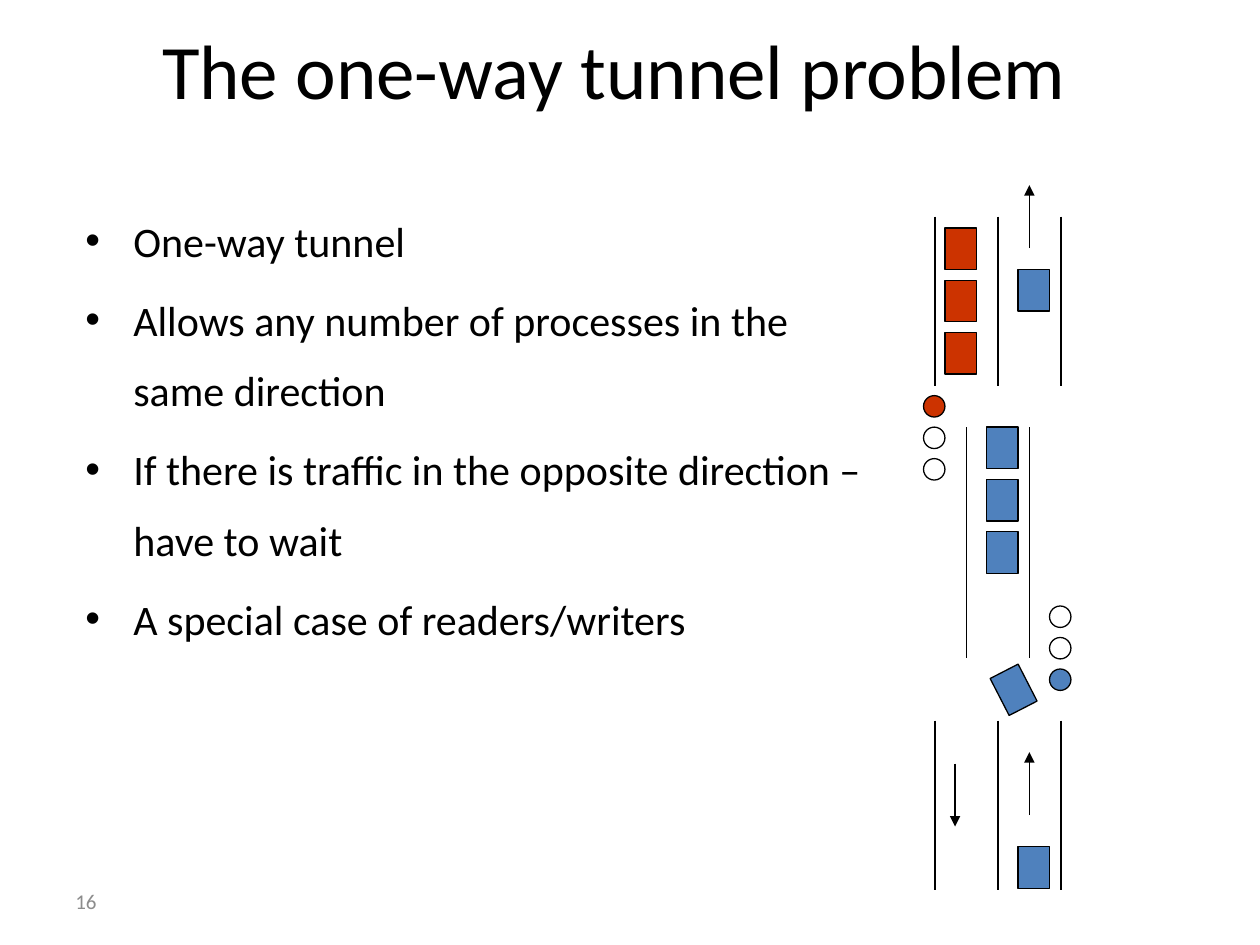
from dataclasses import dataclass
from lxml import etree
from pptx import Presentation
from pptx.dml.color import RGBColor
from pptx.enum.shapes import MSO_CONNECTOR, MSO_SHAPE
from pptx.enum.text import MSO_ANCHOR, PP_ALIGN
from pptx.oxml.ns import qn
from pptx.util import Inches, Pt

RECT, OVAL = MSO_SHAPE.RECTANGLE, MSO_SHAPE.OVAL
STRAIGHT = MSO_CONNECTOR.STRAIGHT
TOP, MIDDLE = MSO_ANCHOR.TOP, MSO_ANCHOR.MIDDLE
LEFT, CENTER = PP_ALIGN.LEFT, PP_ALIGN.CENTER


@dataclass(frozen=True)
class Theme:
    font: str = "Calibri"
    black: str = "000000"
    gray: str = "8C8C8C"
    red: str = "CC3300"
    blue: str = "4F81BD"
    title: int = 44
    body: int = 24
    small: int = 12
    stroke: float = 0.75


@dataclass(frozen=True)
class Label:
    lines: tuple[str, ...]
    box: tuple[float, float, float, float]
    size: int
    color: str
    anchor: MSO_ANCHOR = MIDDLE
    align: PP_ALIGN = LEFT
    bullet: bool = False


@dataclass(frozen=True)
class Line:
    x: float
    start: float
    end: float
    arrow: bool = False


@dataclass(frozen=True)
class Car:
    x: float
    y: float
    color: str
    turn: float = 0


@dataclass(frozen=True)
class Signal:
    x: float
    y: float
    lit: int
    color: str


THEME = Theme()
CAR_W, CAR_H, CAR_STEP = 0.25, 0.33, 0.415
LAMP, LAMP_STEP = 0.17, 0.25

deck = Presentation()
deck.slide_width, deck.slide_height = Inches(10), Inches(7.5)
slide = deck.slides.add_slide(deck.slide_layouts[6])


def add_label(label: Label) -> None:
    box = slide.shapes.add_textbox(*map(Inches, label.box))
    frame = box.text_frame
    frame.word_wrap = True
    frame.vertical_anchor = label.anchor
    frame.text = "\n".join(label.lines)
    for para in frame.paragraphs:
        para.alignment = label.align
        if label.bullet:
            para.line_spacing = 1.4
            para.space_before = Pt(0.2 * label.size)
            props = para._p.get_or_add_pPr()
            props.set("marL", str(Inches(0.38)))
            props.set("indent", str(Inches(-0.38)))
            font = etree.SubElement(props, qn("a:buFont"))
            font.set("typeface", "Arial")
            etree.SubElement(props, qn("a:buChar")).set("char", "•")
        para.font.name = THEME.font
        para.font.size = Pt(label.size)
        para.font.color.rgb = RGBColor.from_string(label.color)


def add_line(line: Line) -> None:
    ends = map(Inches, (line.x, line.start, line.x, line.end))
    link = slide.shapes.add_connector(STRAIGHT, *ends)
    link.line.color.rgb = RGBColor.from_string(THEME.black)
    link.line.width = Pt(THEME.stroke)
    if line.arrow:
        tail = etree.SubElement(link.line._get_or_add_ln(), qn("a:tailEnd"))
        tail.set("type", "triangle")
    etree.SubElement(link._element.spPr, qn("a:effectLst"))


def add_form(kind: MSO_SHAPE, x: float, y: float, w: float, h: float,
             color: str | None, turn: float = 0) -> None:
    form = slide.shapes.add_shape(kind, *map(Inches, (x, y, w, h)))
    form.shadow.inherit = False
    form.rotation = turn
    if color:
        form.fill.solid()
        form.fill.fore_color.rgb = RGBColor.from_string(color)
    else:
        form.fill.background()
    form.line.color.rgb = RGBColor.from_string(THEME.black)
    form.line.width = Pt(THEME.stroke)


def add_signal(signal: Signal) -> None:
    for i in range(3):
        color = signal.color if i == signal.lit else None
        add_form(OVAL, signal.x, signal.y + i * LAMP_STEP, LAMP, LAMP, color)


# Title, bullets and page number
labels = [
    Label(("The one-way tunnel problem",), (0.5, 0.17, 8.75, 0.75),
          THEME.title, THEME.black, align=CENTER),
    Label(("One-way tunnel",
           "Allows any number of processes in the same direction",
           "If there is traffic in the opposite direction – have to wait",
           "A special case of readers/writers"),
          (0.58, 1.5, 6.5, 5.17), THEME.body, THEME.black, TOP, bullet=True),
    Label(("16",), (0.5, 6.95, 2.33, 0.4), THEME.small, THEME.gray),
]
for label in labels:
    add_label(label)

# Tunnel walls, then two-lane roads at both ends
walls = [Line(x, 3.39, 5.22) for x in (7.67, 8.17)]
roads = [Line(7.42 + i * 0.5, top, top + 1.34)
         for top in (1.72, 5.72) for i in range(3)]
for line in walls + roads:
    add_line(line)

# Cars: waiting, inside the tunnel, leaving, arriving and turning in
cars = [Car(7.5, 1.81 + i * CAR_STEP, THEME.red) for i in range(3)]
cars += [Car(7.83, 3.39 + i * CAR_STEP, THEME.blue) for i in range(3)]
cars += [Car(8.08, y, THEME.blue) for y in (2.14, 6.72)]
cars.append(Car(7.92, 5.31, THEME.blue, 332.8))
for car in cars:
    add_form(RECT, car.x, car.y, CAR_W, CAR_H, car.color, car.turn)

# Directions of travel
for x, start, end in ((8.17, 6.47, 5.97), (8.17, 1.97, 1.47),
                      (7.58, 6.06, 6.56)):
    add_line(Line(x, start, end, arrow=True))

# Traffic lights
add_signal(Signal(7.33, 3.14, 0, THEME.red))
add_signal(Signal(8.33, 4.81, 2, THEME.blue))

deck.save("out.pptx")
